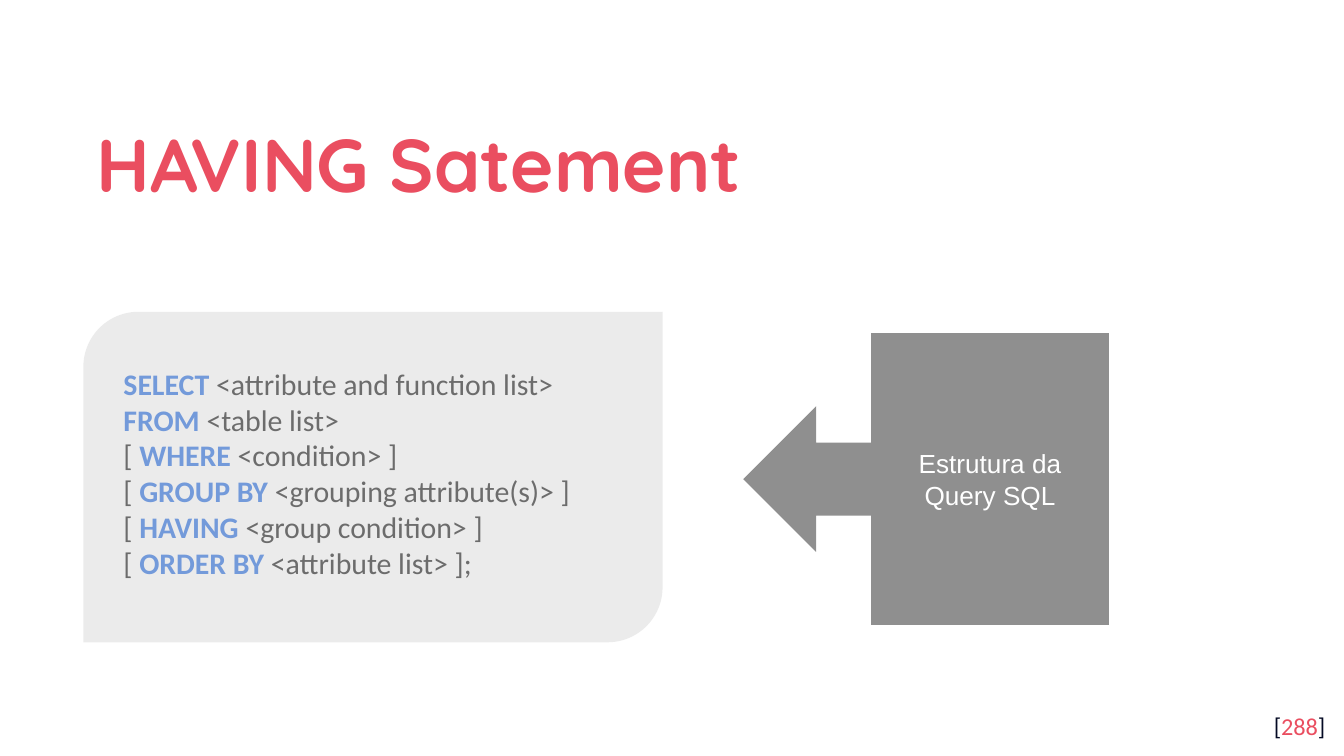
from lxml import etree
from pptx import Presentation
from pptx import util as u
from pptx.dml import color as col
from pptx.enum import shapes, text
from pptx.oxml import ns

HUES = {
    "red": "EA4E60",
    "navy": "040A24",
    "blue": "0D5BDC",
    "black": "000000",
    "white": "FFFFFF",
    "pale": "D9D9D9",
    "dark": "212121",
}
QUERY = [
    ("", "SELECT", " <attribute and function list>"),
    ("", "FROM", " <table list>"),
    ("[ ", "WHERE", " <condition> ]"),
    ("[ ", "GROUP BY", " <grouping attribute(s)> ]"),
    ("[ ", "HAVING", " <group condition> ]"),
    ("[ ", "ORDER BY", " <attribute list> ];"),
]


def rgb(hue):
    return col.RGBColor.from_string(HUES[hue])


def add_run(para, words, face, size, hue, bold=False):
    run = para.add_run()
    run.text = words
    font = run.font
    font.name, font.size, font.bold = face, u.Pt(size), bold
    font.color.rgb = rgb(hue)


def add_text(slide, box, pad=0.05, anchor=text.MSO_ANCHOR.TOP):
    frame = slide.shapes.add_textbox(*map(u.Inches, box)).text_frame
    frame.word_wrap = True
    frame.vertical_anchor = anchor
    frame.margin_top = frame.margin_bottom = u.Inches(pad)
    return frame


def add_form(slide, kind, box, hue):
    form = slide.shapes.add_shape(kind, *map(u.Inches, box))
    form.shadow.inherit = False
    form.fill.solid()
    form.fill.fore_color.rgb = rgb(hue)
    form.line.fill.background()
    tint = form.element.spPr.find(".//" + ns.qn("a:srgbClr"))
    etree.SubElement(tint, ns.qn("a:alpha"), val="50000")
    return form


def add_page(slide, box):
    para = add_text(slide, box, 0.1).paragraphs[0]
    para.alignment = text.PP_ALIGN.RIGHT
    for words, hue in (("[", "navy"), ("288", "red"), ("]", "navy")):
        add_run(para, words, "Calibri", 13, hue)


def add_title(slide, box):
    para = add_text(slide, box, 0.1, text.MSO_ANCHOR.MIDDLE).paragraphs[0]
    para.line_spacing = 1.15
    add_run(para, "HAVING Satement", "Quicksand", 40, "red", True)


def add_query(slide, box):
    left, top, width, height = box
    frame = add_text(slide, (left + 0.2, top + 0.35, width - 0.36, height - 0.74))
    frame.auto_size = text.MSO_AUTO_SIZE.SHAPE_TO_FIT_TEXT
    for row, (start, word, rest) in enumerate(QUERY):
        para = frame.add_paragraph() if row else frame.paragraphs[0]
        if start:
            add_run(para, start, "Calibri", 16, "black")
        add_run(para, word, "Calibri", 16, "blue", True)
        add_run(para, rest, "Calibri", 16, "black")
    add_form(slide, shapes.MSO_SHAPE.ROUND_2_DIAG_RECTANGLE, box, "pale")


def add_callout(slide, box):
    form = add_form(slide, shapes.MSO_SHAPE.LEFT_ARROW_CALLOUT, box, "dark")
    frame = form.text_frame
    frame.word_wrap = True
    frame.vertical_anchor = text.MSO_ANCHOR.MIDDLE
    para = frame.paragraphs[0]
    para.alignment = text.PP_ALIGN.CENTER
    add_run(para, "Estrutura da Query SQL", "Arial", 14, "white")


def main():
    deck = Presentation()
    deck.slide_width = u.Inches(10)
    deck.slide_height = deck.slide_width * 9 // 16
    slide = deck.slides.add_slide(deck.slide_layouts[6])
    add_page(slide, (9.36, 5.19, 0.6, 0.43))
    add_title(slide, (0.62, 0.7, 8.68, 0.92))
    add_query(slide, (0.62, 2.32, 4.31, 2.46))
    add_callout(slide, (5.53, 2.48, 2.72, 2.17))
    deck.save("out.pptx")


if __name__ == "__main__":
    main()
